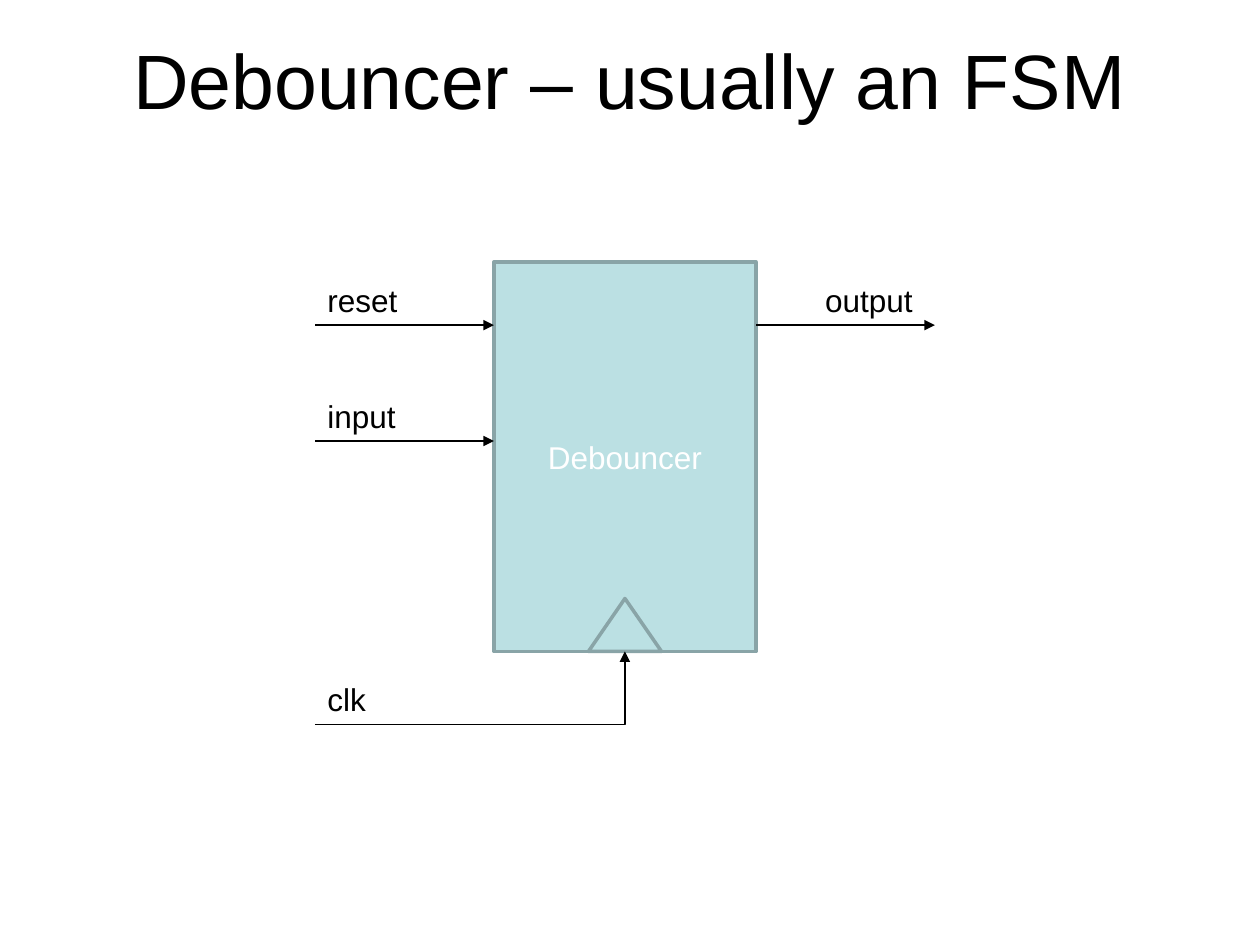
"""Build a slide with the block diagram of a debouncer."""
from lxml import etree
from pptx import Presentation
from pptx.dml.color import RGBColor
from pptx.enum.shapes import MSO_CONNECTOR, MSO_SHAPE
from pptx.enum.text import MSO_ANCHOR, MSO_AUTO_SIZE, PP_ALIGN
from pptx.oxml.ns import qn
from pptx.util import Inches, Pt

STRAIGHT, ELBOW = MSO_CONNECTOR.STRAIGHT, MSO_CONNECTOR.ELBOW
RECTANGLE, TRIANGLE = MSO_SHAPE.RECTANGLE, MSO_SHAPE.ISOSCELES_TRIANGLE
MIDDLE, CENTER, LEFT = MSO_ANCHOR.MIDDLE, PP_ALIGN.CENTER, PP_ALIGN.LEFT
FIT_SHAPE = MSO_AUTO_SIZE.SHAPE_TO_FIT_TEXT

BLACK = RGBColor(0x00, 0x00, 0x00)
WHITE = RGBColor(0xFF, 0xFF, 0xFF)
TEAL = RGBColor(0xBB, 0xE0, 0xE3)
DARK_TEAL = RGBColor(0x89, 0xA4, 0xA7)

WIRE_LEFT, BLOCK_LEFT, BLOCK_RIGHT, WIRE_RIGHT = 2.5, 3.92, 6, 7.42
BLOCK_TOP, BLOCK_BOTTOM = 2.08, 5.17
BLOCK_CENTER = (BLOCK_LEFT + BLOCK_RIGHT) / 2
RESET_Y, INPUT_Y, CLOCK_Y = 2.58, 3.5, 5.75
LABEL_HEIGHT = 0.4


def write_text(frame, text, size, color, align):
    """Write one formatted run into the first paragraph of a text frame."""
    para = frame.paragraphs[0]
    para.alignment = align
    span = para.add_run()
    span.text = text
    span.font.name = "Arial"
    span.font.size = Pt(size)
    span.font.color.rgb = color


def add_title(slide, text):
    """Place and fill the title placeholder."""
    title = slide.shapes.title
    title.left, title.top = Inches(0.5), Inches(0)
    title.width, title.height = Inches(9), Inches(1.25)
    title.text_frame.vertical_anchor = MIDDLE
    write_text(title.text_frame, text, 44, BLACK, CENTER)


def add_block_part(group, kind, left, top, width, height):
    """Add one teal outlined shape to the block group."""
    part = group.shapes.add_shape(
        kind, Inches(left), Inches(top), Inches(width), Inches(height))
    part.shadow.inherit = False
    part.fill.solid()
    part.fill.fore_color.rgb = TEAL
    part.line.color.rgb = DARK_TEAL
    part.line.width = Pt(2)
    return part


def add_block(slide, name):
    """Add the named block with its clock triangle."""
    group = slide.shapes.add_group_shape()
    body = add_block_part(group, RECTANGLE, BLOCK_LEFT, BLOCK_TOP,
                          BLOCK_RIGHT - BLOCK_LEFT, BLOCK_BOTTOM - BLOCK_TOP)
    body.text_frame.vertical_anchor = MIDDLE
    write_text(body.text_frame, name, 18, WHITE, CENTER)
    width, height = 0.58, 0.42
    add_block_part(group, TRIANGLE, BLOCK_CENTER - width / 2,
                   BLOCK_BOTTOM - height, width, height)


def add_wire(slide, kind, start, end):
    """Add a thin black connector with an arrowhead at its end."""
    wire = slide.shapes.add_connector(
        kind, *(Inches(value) for value in (*start, *end)))
    wire.line.color.rgb = BLACK
    wire.line.width = Pt(0.75)
    properties = wire._element.spPr
    etree.SubElement(properties.find(qn("a:ln")), qn("a:tailEnd"), type="triangle")
    etree.SubElement(properties, qn("a:effectLst"))
    if kind == ELBOW:
        properties.find(qn("a:prstGeom")).set("prst", "bentConnector2")


def add_label(slide, text, left, wire_y, width):
    """Add a signal name that rests on its wire."""
    box = slide.shapes.add_textbox(
        Inches(left), Inches(wire_y - LABEL_HEIGHT), Inches(width), Inches(LABEL_HEIGHT))
    box.text_frame.word_wrap = False
    box.text_frame.auto_size = FIT_SHAPE
    write_text(box.text_frame, text, 18, BLACK, LEFT)


def main():
    """Build and save the deck."""
    deck = Presentation()
    deck.slide_width, deck.slide_height = Inches(10), Inches(7.5)
    slide = deck.slides.add_slide(deck.slide_layouts[5])
    add_title(slide, "Debouncer – usually an FSM")
    add_block(slide, "Debouncer")

    add_wire(slide, ELBOW, (WIRE_LEFT, CLOCK_Y), (BLOCK_CENTER, BLOCK_BOTTOM))
    for start, end, height in (
        (WIRE_LEFT, BLOCK_LEFT, RESET_Y),
        (WIRE_LEFT, BLOCK_LEFT, INPUT_Y),
        (BLOCK_RIGHT, WIRE_RIGHT, RESET_Y),
    ):
        add_wire(slide, STRAIGHT, (start, height), (end, height))

    for text, left, height, width in (
        ("reset", WIRE_LEFT, RESET_Y, 0.78),
        ("input", WIRE_LEFT, INPUT_Y, 0.77),
        ("clk", WIRE_LEFT, CLOCK_Y, 0.53),
        ("output", 6.45, RESET_Y, 0.92),
    ):
        add_label(slide, text, left, height, width)
    deck.save("out.pptx")


if __name__ == "__main__":
    main()
